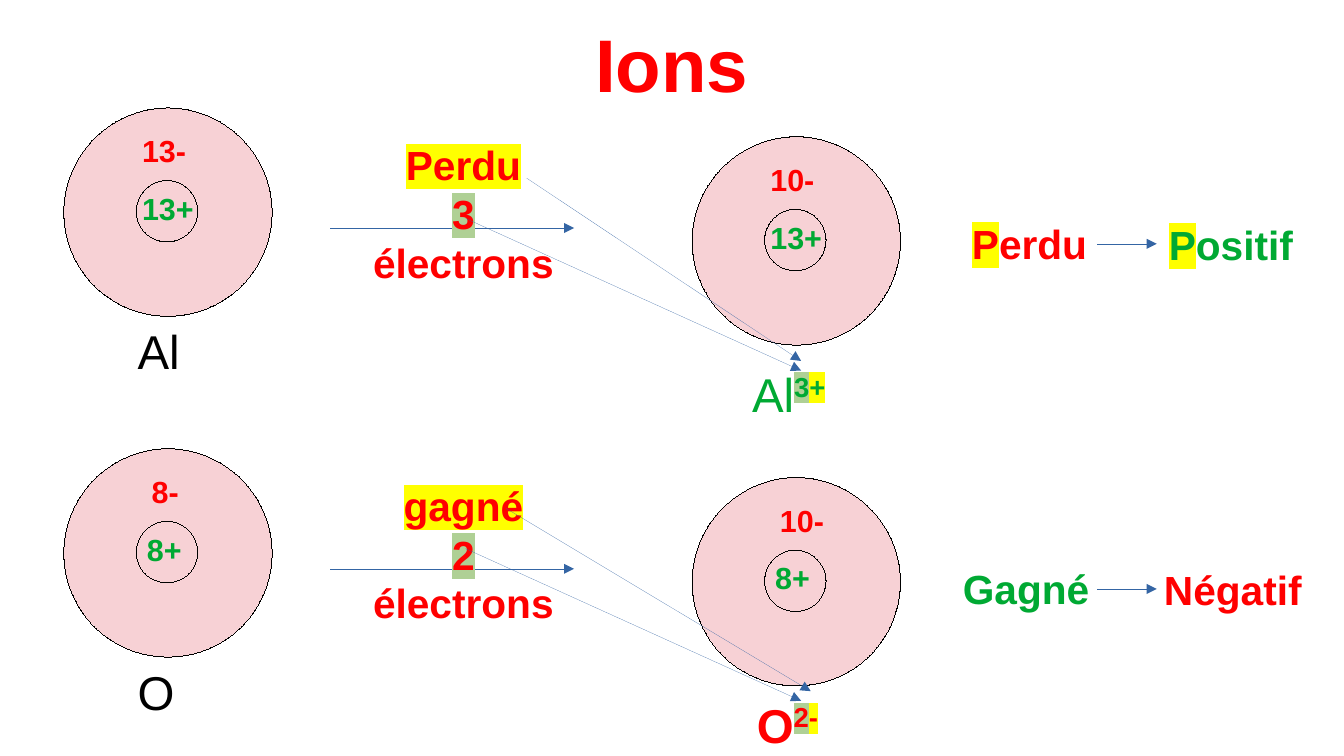
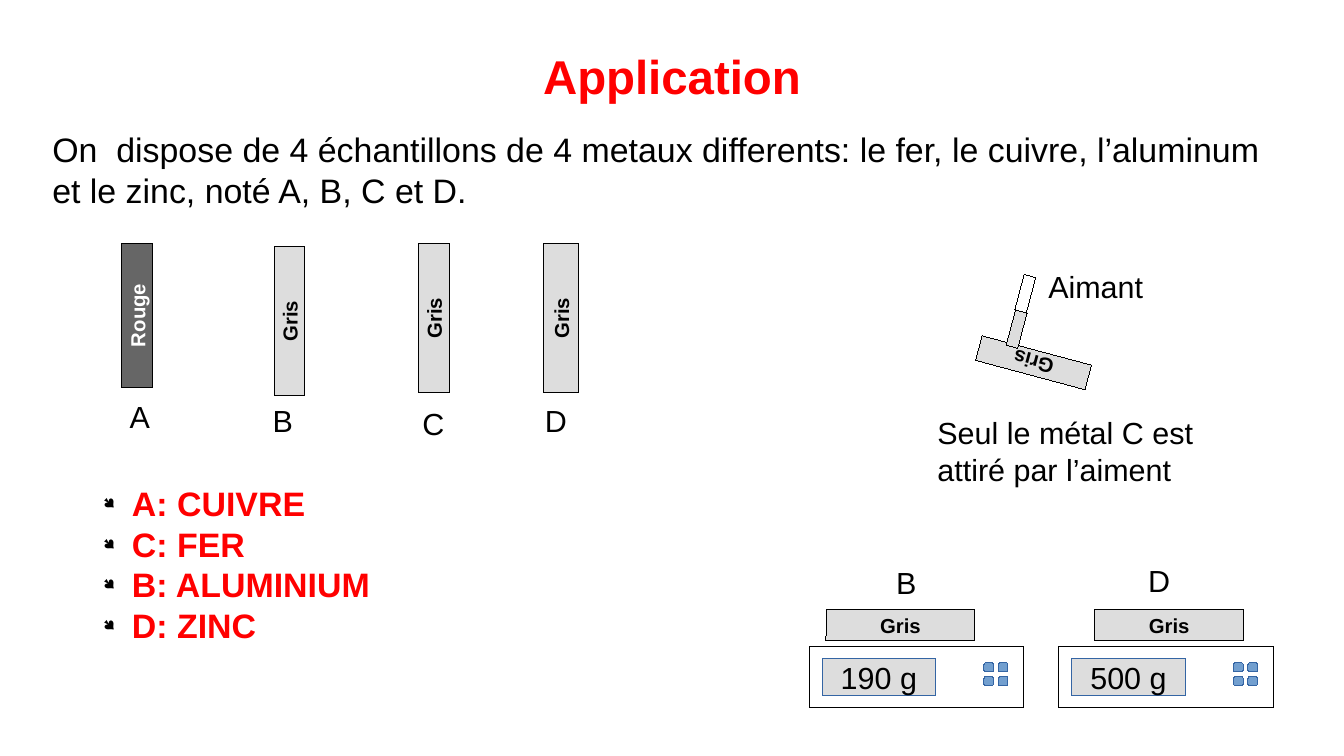
from collections import namedtuple

from lxml import etree
from pptx import Presentation
from pptx.dml.color import RGBColor
from pptx.enum.shapes import MSO_CONNECTOR, MSO_SHAPE
from pptx.enum.text import MSO_ANCHOR, MSO_AUTO_SIZE, PP_ALIGN
from pptx.oxml.ns import qn
from pptx.util import Cm, Pt

FONT = "Arial"
RED = RGBColor(0xFF, 0x00, 0x00)
GREEN = RGBColor(0x00, 0xA9, 0x33)
BLACK = RGBColor(0x00, 0x00, 0x00)
WHITE = RGBColor(0xFF, 0xFF, 0xFF)
BLUE = RGBColor(0x34, 0x65, 0xA4)
KEY_BLUE = RGBColor(0x72, 0x9F, 0xCF)
PINK = RGBColor(0xF7, 0xD1, 0xD5)
GREY = RGBColor(0xDD, 0xDD, 0xDD)
DARK_GREY = RGBColor(0x66, 0x66, 0x66)
YELLOW = RGBColor(0xFF, 0xFF, 0x00)
PALE_GREEN = RGBColor(0xAF, 0xD0, 0x95)

Run = namedtuple("Run", "text color bold mark sup", defaults=(BLACK, False, None, False))

# Slide 1: one row per element, y measured from the top of the row
ROWS = [
    dict(top=2.25, symbol="Al", symbol_w=1.5,
         nucleus=("13+", 1.38, 1.7), electrons="13-", electrons_x=1.38, electrons_w=1.5,
         change=("Perdu", "3"),
         ion=[Run("Al", GREEN), Run("3", GREEN, True, PALE_GREEN, True),
              Run("+", GREEN, True, YELLOW, True)],
         ion_at=(15.42, 5.24, 2.1),
         pointers=[(10.97, 1.46, 16.69, 5.27), (9.7, 2.3, 16.69, 5.47)],
         cause=([Run("P", RED, True, YELLOW), Run("erdu", RED, True)], 20.0, 2.18, 3.0),
         effect=([Run("P", GREEN, True, YELLOW), Run("ositif", GREEN, True)], 24.1, 2.2, 3.2),
         rule_y=2.83),
    dict(top=9.35, symbol="O", symbol_w=1.4,
         nucleus=("8+", 1.48, 1.4), electrons="8-", electrons_x=1.58, electrons_w=1.2,
         change=("gagné", "2"),
         ion=[Run("O", RED, True), Run("2", RED, True, PALE_GREEN, True),
              Run("-", RED, True, YELLOW, True)],
         ion_at=(15.52, 5.03, 1.9),
         pointers=[(9.7, 2.08, 16.69, 5.25), (10.54, 1.24, 16.89, 5.05)],
         cause=([Run("Gagné", GREEN, True)], 19.81, 2.28, 3.2),
         effect=([Run("Négatif", RED, True)], 24.0, 2.29, 3.5),
         rule_y=2.92),
]
ATOM_X, ION_X, ION_DROP = 1.33, 14.42, 0.6

# Slide 2
INTRO = ("On  dispose de 4 échantillons de 4 metaux differents: le fer, le cuivre, "
         "l’aluminum et le zinc, noté A, B, C et D.")
SAMPLES = [  # label, label x and y, bar x, y, w and h, word, fill, text colour
    ("A", 2.45, 8.16, 1.36, 6.25, 3.0, 0.64, "Rouge", DARK_GREY, WHITE),
    ("B", 5.43, 8.25, 4.48, 6.37, 3.1, 0.64, "Gris", GREY, BLACK),
    ("C", 8.55, 8.31, 7.49, 6.31, 3.1, 0.64, "Gris", GREY, BLACK),
    ("D", 11.1, 8.25, 10.14, 6.26, 3.1, 0.74, "Gris", GREY, BLACK),
]
SCALES = [  # label, label x and y, scale x, bar x, mass
    ("B", 18.42, 11.63, 16.86, 17.21, "190 g"),
    ("D", 23.67, 11.58, 22.06, 22.81, "500 g"),
]
SCALE_Y = 13.48
ANSWERS = ["A: CUIVRE", "C: FER", "B: ALUMINIUM", "D: ZINC"]


def add_runs(p, runs, size):
    for item in runs:
        r = p.add_run()
        r.text = item.text
        r.font.size, r.font.bold = Pt(size), item.bold
        r.font.color.rgb = item.color
        r.font.name = FONT
        rPr = r.font._element
        if item.mark is not None:
            mark = etree.Element(qn("a:highlight"))
            etree.SubElement(mark, qn("a:srgbClr")).set("val", str(item.mark))
            rPr.find(qn("a:solidFill")).addnext(mark)
        if item.sup:
            rPr.set("baseline", "33000")


def add_bullet(p):
    pPr = p._p.get_or_add_pPr()
    pPr.set("marL", str(Cm(0.6)))
    pPr.set("indent", str(-Cm(0.6)))
    color = etree.SubElement(pPr, qn("a:buClr"))
    etree.SubElement(color, qn("a:srgbClr")).set("val", str(BLACK))
    etree.SubElement(pPr, qn("a:buSzPct")).set("val", "45000")
    font = etree.SubElement(pPr, qn("a:buFont"))
    font.set("typeface", "Wingdings")
    font.set("charset", "2")
    etree.SubElement(pPr, qn("a:buChar")).set("char", "●")


def add_text(s, x, y, w, h, paragraphs, size, align=PP_ALIGN.LEFT, wrap=False, bullets=False):
    tb = s.shapes.add_textbox(Cm(x), Cm(y), Cm(w), Cm(h))
    tf = tb.text_frame
    tf.word_wrap = wrap
    tf.auto_size = MSO_AUTO_SIZE.SHAPE_TO_FIT_TEXT
    for i, runs in enumerate(paragraphs):
        p = tf.add_paragraph() if i else tf.paragraphs[0]
        if bullets:
            add_bullet(p)
        p.alignment = align
        add_runs(p, runs, size)
    return tb


def add_label(s, x, y, w, text):
    add_text(s, x, y, w, 0.97, [[Run(text)]], 18)


def add_title(s, y, h, text, size):
    tb = add_text(s, 1.4, y, 25.2, h, [[Run(text, RED, True)]], size, PP_ALIGN.CENTER, True)
    tf = tb.text_frame
    tf.auto_size = MSO_AUTO_SIZE.NONE
    tf.vertical_anchor = MSO_ANCHOR.MIDDLE
    tf.margin_left = tf.margin_right = tf.margin_top = tf.margin_bottom = 0


def set_hairline(line, color):
    line.color.rgb = color
    ln = line._get_or_add_ln()
    ln.set("w", "0")  # the width property drops a zero
    return ln


def add_figure(s, kind, x, y, w, h, fill=None, line=BLACK, rotation=0, run=None, size=12):
    sp = s.shapes.add_shape(kind, Cm(x), Cm(y), Cm(w), Cm(h))
    sp.shadow.inherit = False
    sp.rotation = rotation
    if fill is None:
        sp.fill.background()
    else:
        sp.fill.solid()
        sp.fill.fore_color.rgb = fill
    set_hairline(sp.line, line)
    if run:
        tf = sp.text_frame
        tf.vertical_anchor = MSO_ANCHOR.MIDDLE
        tf.paragraphs[0].alignment = PP_ALIGN.CENTER
        add_runs(tf.paragraphs[0], [run], size)
    return sp


def add_bar(s, x, y, w, h, rotation, text="Gris", fill=GREY, color=BLACK):
    add_figure(s, MSO_SHAPE.RECTANGLE, x, y, w, h, fill, rotation=rotation,
               run=Run(text, color, True))


def add_arrow(s, x1, y1, x2, y2):
    cx = s.shapes.add_connector(MSO_CONNECTOR.STRAIGHT, Cm(x1), Cm(y1), Cm(x2), Cm(y2))
    ln = set_hairline(cx.line, BLUE)
    etree.SubElement(ln, qn("a:tailEnd")).set("type", "triangle")
    etree.SubElement(cx._element.spPr, qn("a:effectLst"))


def add_atom(s, x, y, nucleus, electrons, electrons_x, electrons_w):
    add_figure(s, MSO_SHAPE.OVAL, x, y, 4.34, 4.34, PINK)
    add_figure(s, MSO_SHAPE.OVAL, x + 1.51, y + 1.51, 1.28, 1.28)
    text, dx, w = nucleus
    add_text(s, x + dx, y + 1.58, w, 0.97, [[Run(text, GREEN, True)]], 18)
    add_text(s, x + electrons_x, y + 0.38, electrons_w, 0.97,
             [[Run(electrons, RED, True)]], 18)


def build_ions(s):
    add_title(s, 0.44, 1.73, "Ions", 44)
    for row in ROWS:
        top = row["top"]
        # Atom, electron change and ion
        add_atom(s, ATOM_X, top, row["nucleus"], row["electrons"],
                 row["electrons_x"], row["electrons_w"])
        add_text(s, 2.62, top + 4.33, row["symbol_w"], 1.35, [[Run(row["symbol"])]], 28)
        add_arrow(s, 6.88, top + 2.5, 11.96, top + 2.5)
        verb, count = row["change"]
        add_text(s, 7.52, top + 0.54, 4.27, 3.07,
                 [[Run(verb, RED, True, YELLOW)], [Run(count, RED, True, PALE_GREEN)],
                  [Run("électrons", RED, True)]], 24, PP_ALIGN.CENTER)
        add_atom(s, ION_X, top + ION_DROP, row["nucleus"], "10-", row["electrons_x"], 1.5)
        x, y, w = row["ion_at"]
        add_text(s, x, top + y, w, 1.35, [row["ion"]], 28)
        for x1, y1, x2, y2 in row["pointers"]:
            add_arrow(s, x1, top + y1, x2, top + y2)
        # Rule to remember
        for runs, x, y, w in (row["cause"], row["effect"]):
            add_text(s, x, top + y, w, 1.19, [runs], 24)
        add_arrow(s, 22.86, top + row["rule_y"], 24.1, top + row["rule_y"])


def build_application(s):
    add_title(s, 0.62, 1.9, "Application", 28)
    add_text(s, 0.84, 2.56, 25.73, 2.03, [[Run(INTRO)]], 20, wrap=True)

    # Samples
    for label, label_x, label_y, x, y, w, h, word, fill, color in SAMPLES:
        add_bar(s, x, y, w, h, 270, word, fill, color)
        add_label(s, label_x, label_y, 1.0, label)

    # Magnet
    add_bar(s, 20.35, 7.29, 2.36, 0.53, 195)
    for x, y, fill in ((20.8, 6.73, GREY), (20.98, 5.99, WHITE)):
        add_figure(s, MSO_SHAPE.RECTANGLE, x, y, 0.76, 0.25, fill, rotation=284.9)
    add_label(s, 21.59, 5.46, 2.6, "Aimant")
    add_text(s, 19.28, 8.51, 6.25, 1.68,
             [[Run("Seul le métal C est attiré par l’aiment")]], 18, wrap=True)

    # Scales
    for label, label_x, label_y, x, bar_x, mass in SCALES:
        add_label(s, label_x, label_y, 1.0, label)
        add_figure(s, MSO_SHAPE.RECTANGLE, x, SCALE_Y, 4.47, 1.27)
        add_figure(s, MSO_SHAPE.RECTANGLE, x + 0.27, SCALE_Y + 0.25, 2.36, 0.76,
                   GREY, BLUE, run=Run(mass), size=18)
        for i in range(4):
            add_figure(s, MSO_SHAPE.ROUNDED_RECTANGLE, x + 3.64 + i % 2 * 0.3,
                       SCALE_Y + 0.33 + i // 2 * 0.29, 0.2, 0.18, KEY_BLUE, BLUE)
        add_bar(s, bar_x, 12.7, 3.1, 0.64, 0.2)

    # Answers
    add_text(s, 1.9, 9.93, 7.16, 3.68, [[Run(a, RED, True)] for a in ANSWERS], 20,
             wrap=True, bullets=True)


def main():
    prs = Presentation()
    prs.slide_width, prs.slide_height = Cm(28), Cm(15.75)
    for build in (build_ions, build_application):
        build(prs.slides.add_slide(prs.slide_layouts[6]))
    prs.save("out.pptx")


if __name__ == "__main__":
    main()
